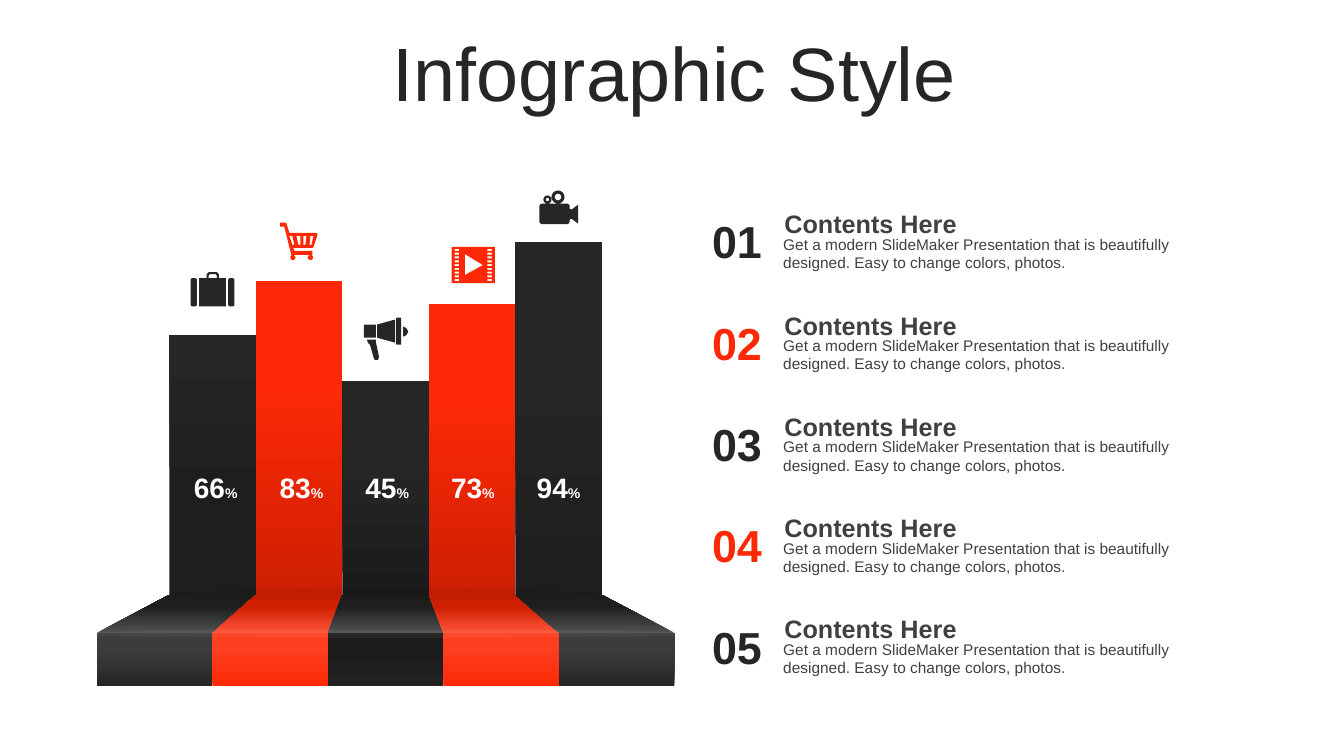
from dataclasses import dataclass
from math import cos, pi, sin

from lxml.etree import SubElement
from pptx import Presentation
from pptx.dml.color import RGBColor
from pptx.enum.shapes import MSO_SHAPE as Preset
from pptx.enum.text import MSO_ANCHOR as Anchor, MSO_AUTO_SIZE as AutoSize, PP_ALIGN as Align
from pptx.oxml.ns import qn
from pptx.util import Inches, Pt


@dataclass(frozen=True)
class Theme:
    """Colours and type sizes of the slide."""
    font: str = "Arial"
    dark: str = "262626"
    red: str = "FD2906"
    body: str = "404040"
    white: str = "FFFFFF"
    black: str = "000000"
    title_size: int = 54
    number_size: int = 32
    percent_size: int = 20
    heading_size: int = 18
    body_size: int = 11
    sign_size: int = 10
    red_wall: tuple = ((0, "CE1F02"), (68, "FD2906"))
    dark_wall: tuple = ((0, "1E1E1E"), (68, "262626"))
    first_wall: tuple = ((32, "1E1E1E"), (100, "262626"))
    middle_wall: tuple = ((0, "1B1B1B"), (64, "262626"))
    red_floor: tuple = ((0, "FD5438"), (68, "CE1F02"))
    dark_floor: tuple = ((0, "515151"), (68, "1E1E1E"))
    red_front: tuple = ((0, "FD2906"), (68, "FD3E1F"))
    dark_front: tuple = ((0, "262626"), (68, "3C3C3C"))
    middle_front: tuple = ((0, "222222"), (68, "1C1C1C"))


THEME = Theme()
BARS = [
    (66, 3.32, THEME.first_wall, THEME.dark_floor, THEME.dark_front),
    (83, 2.79, THEME.red_wall, THEME.red_floor, THEME.red_front),
    (45, 3.78, THEME.middle_wall, THEME.dark_floor, THEME.middle_front),
    (73, 3.02, THEME.red_wall, THEME.red_floor, THEME.red_front),
    (94, 2.4, THEME.dark_wall, THEME.dark_floor, THEME.dark_front),
]
HEADING = "Contents Here"
DESCRIPTION = ("Get a modern SlideMaker Presentation that is beautifully designed. "
               "Easy to change colors, photos.")


def paint(shape, fill, alpha=None):
    """Fill a shape with a colour or an upward gradient, without line or shadow."""
    shape.shadow.inherit = False
    shape.line.fill.background()
    if isinstance(fill, str):
        shape.fill.solid()
        shape.fill.fore_color.rgb = RGBColor.from_string(fill)
    else:
        shape.fill.gradient()
        shape.fill.gradient_angle = 90
        for stop, (position, color) in zip(shape.fill.gradient_stops, fill):
            stop.position = position / 100
            stop.color.rgb = RGBColor.from_string(color)
    if alpha is not None:
        for color in shape.element.spPr.iter(qn("a:srgbClr")):
            SubElement(color, qn("a:alpha"), val=str(alpha * 1000))


def add_preset(slide, preset, box, fill, alpha=None):
    """Add a painted preset shape in a box given in inches."""
    paint(slide.shapes.add_shape(preset, *map(Inches, box)), fill, alpha)


def add_outline(slide, contours, fill, origin=(0, 0), unit=1):
    """Add one freeform made of closed contours; inner contours become holes."""
    left, top = origin
    placed = [[(Inches(left + x * unit), Inches(top + y * unit)) for x, y in contour]
              for contour in contours]
    builder = slide.shapes.build_freeform(*placed[0][0])
    for index, points in enumerate(placed):
        if index:
            builder.move_to(*points[0])
        builder.add_line_segments(points[1:], close=True)
    paint(builder.convert_to_shape(), fill)


def add_text(slide, box, runs, size, color, bold=False, align=Align.LEFT,
             anchor=Anchor.TOP, grow=True, margin=0.1):
    """Add a one-paragraph text box; runs are pairs of text and own size or None."""
    frame = slide.shapes.add_textbox(*map(Inches, box)).text_frame
    frame.word_wrap = True
    frame.auto_size = AutoSize.SHAPE_TO_FIT_TEXT if grow else AutoSize.NONE
    frame.vertical_anchor = anchor
    frame.margin_left = frame.margin_right = Inches(margin)
    paragraph = frame.paragraphs[0]
    paragraph.alignment = align
    font = paragraph.font
    font.name, font.size, font.bold = THEME.font, Pt(size), bold
    font.color.rgb = RGBColor.from_string(color)
    for text, own_size in runs:
        run = paragraph.add_run()
        run.text = text
        if own_size:
            run.font.size = Pt(own_size)
    return paragraph


def rounded(left, top, right, bottom, radius=0):
    """Return the contour of a rectangle with rounded corners."""
    if not radius:
        return [(left, top), (right, top), (right, bottom), (left, bottom)]
    corners = [(right - radius, bottom - radius), (left + radius, bottom - radius),
               (left + radius, top + radius), (right - radius, top + radius)]
    return [(x + radius * cos(angle), y + radius * sin(angle))
            for quarter, (x, y) in enumerate(corners)
            for angle in [(quarter + step / 6) * pi / 2 for step in range(7)]]


def circle(x, y, radius):
    """Return the contour of a circle."""
    return rounded(x - radius, y - radius, x + radius, y + radius, radius)


def icons():
    """Return origin, colour and contours, in hundredths of an inch, of each icon."""
    suitcase = [rounded(0, 6, 6.3, 34, 2), rounded(37.3, 6, 43.5, 34, 2),
                [(8.5, 6), (16, 6), (16, 2), (18, 0), (26, 0), (28, 2), (28, 6),
                 (35, 6), (35, 34), (8.5, 34)],
                [(18, 6), (18, 3.5), (19, 2), (25, 2), (26, 3.5), (26, 6)]]
    cart = [[(0, 0), (6, 0), (9, 10), (36, 10), (37, 12), (33, 24), (32, 25), (13, 25),
             (14, 28), (32, 28), (32, 32), (11, 32), (4, 4), (0, 4)],
            [(9, 13), (12, 22), (14, 22), (12, 13)], [(16, 13), (18, 22), (20, 22), (20, 13)],
            [(23, 13), (23, 22), (25, 22), (26, 13)], [(30, 13), (29, 22), (31, 22), (33, 13)],
            circle(12.5, 34.5, 2.5), circle(30, 34.5, 2.5)]
    megaphone = [rounded(0, 7, 12, 20, 1), [(13, 7), (31, 2), (31, 25), (13, 20)],
                 rounded(32, 0, 37, 27, 1),
                 [(39, 9), (42, 10.5), (44, 14), (42, 17.5), (39, 19)],
                 [(3, 22), (12, 22), (12, 25), (15, 39), (14, 42), (11, 42), (10, 41),
                  (6, 27), (4, 25)]]
    film = [rounded(0, 0, 43, 36), [(13, 7), (13, 28), (31, 18)]]
    film += [rounded(left, 2 + 3.75 * row, left + 4.5, 4 + 3.75 * row)
             for left in (3, 35.5) for row in range(9)]
    camera = [rounded(0, 13, 30, 33.5, 3), circle(8, 9, 4), circle(8, 9, 1.7),
              circle(18.5, 6.5, 6.4), circle(18.5, 6.5, 3.3),
              [(30, 18), (32, 19), (38.5, 14), (38.5, 33), (32, 28), (30, 29)]]
    return [((1.89, 2.7), THEME.dark, suitcase), ((2.78, 2.21), THEME.red, cart),
            ((3.61, 3.15), THEME.dark, megaphone), ((4.48, 2.45), THEME.red, film),
            ((5.35, 1.89), THEME.dark, camera)]


def draw_chart(slide, left, top, width, height):
    """Draw the folded bars, their base, percentages and icons in the given box."""
    inset, front_height, fold_height = 0.72, 0.53, 0.38
    front_top = top + height - front_height
    fold_top = front_top - fold_height
    wall_left = left + inset
    wall_step, front_step = (width - 2 * inset) / 5, width / 5
    for index, (_, bar_top, wall, _, _) in enumerate(BARS):
        add_preset(slide, Preset.RECTANGLE,
                   (wall_left + index * wall_step, bar_top, wall_step, fold_top - bar_top), wall)
    for index, (_, _, _, floor, _) in enumerate(BARS):
        back, front = wall_left + index * wall_step, left + index * front_step
        add_outline(slide, [[(back, fold_top), (back + wall_step, fold_top),
                             (front + front_step, front_top), (front, front_top)]], floor)
    add_preset(slide, Preset.OVAL,
               (wall_left, fold_top - 0.07, 5 * wall_step, 0.13), THEME.black, 5)
    for index, (*_, face) in enumerate(BARS):
        add_preset(slide, Preset.RECTANGLE,
                   (left + index * front_step, front_top, front_step, front_height), face)
    add_preset(slide, Preset.OVAL, (left - 0.41, front_top - 0.03, 6.55, 0.08), THEME.white, 5)
    for index, (percent, *_) in enumerate(BARS):
        add_text(slide, (wall_left + 0.08 + 0.85 * index, 4.62, 0.76, 0.44),
                 [(str(percent), None), ("%", THEME.sign_size)], THEME.percent_size,
                 THEME.white, True, Align.CENTER)
    for origin, color, contours in icons():
        add_outline(slide, contours, color, origin, 0.01)


def draw_entry(slide, left, top, number):
    """Draw one numbered entry with its heading and description."""
    color = THEME.dark if number % 2 else THEME.red
    add_text(slide, (left, top + 0.05, 0.7, 0.64), [(f"{number:02}", None)],
             THEME.number_size, color, True, Align.CENTER, Anchor.MIDDLE)
    add_text(slide, (left + 0.71, top + 0.26, 4.5, 0.47), [(DESCRIPTION, None)],
             THEME.body_size, THEME.body)
    add_text(slide, (left + 0.7, top, 4.81, 0.3), [(HEADING, None)],
             THEME.heading_size, THEME.body, True, margin=0.12)


def main():
    """Build and save the slide."""
    presentation = Presentation()
    presentation.slide_width, presentation.slide_height = Inches(13.33), Inches(7.5)
    slide = presentation.slides.add_slide(presentation.slide_layouts[6])
    title = add_text(slide, (0.36, 0.37, 12.66, 0.79), [("Infographic Style", None)],
                     THEME.title_size, THEME.dark, align=Align.CENTER,
                     anchor=Anchor.MIDDLE, grow=False)
    title.line_spacing = 0.9
    for index in range(5):
        draw_entry(slide, 6.96, 2.02 + 1.005 * index, index + 1)
    draw_chart(slide, 0.96, 2.4, 5.73, 4.41)
    presentation.save("out.pptx")


if __name__ == "__main__":
    main()
